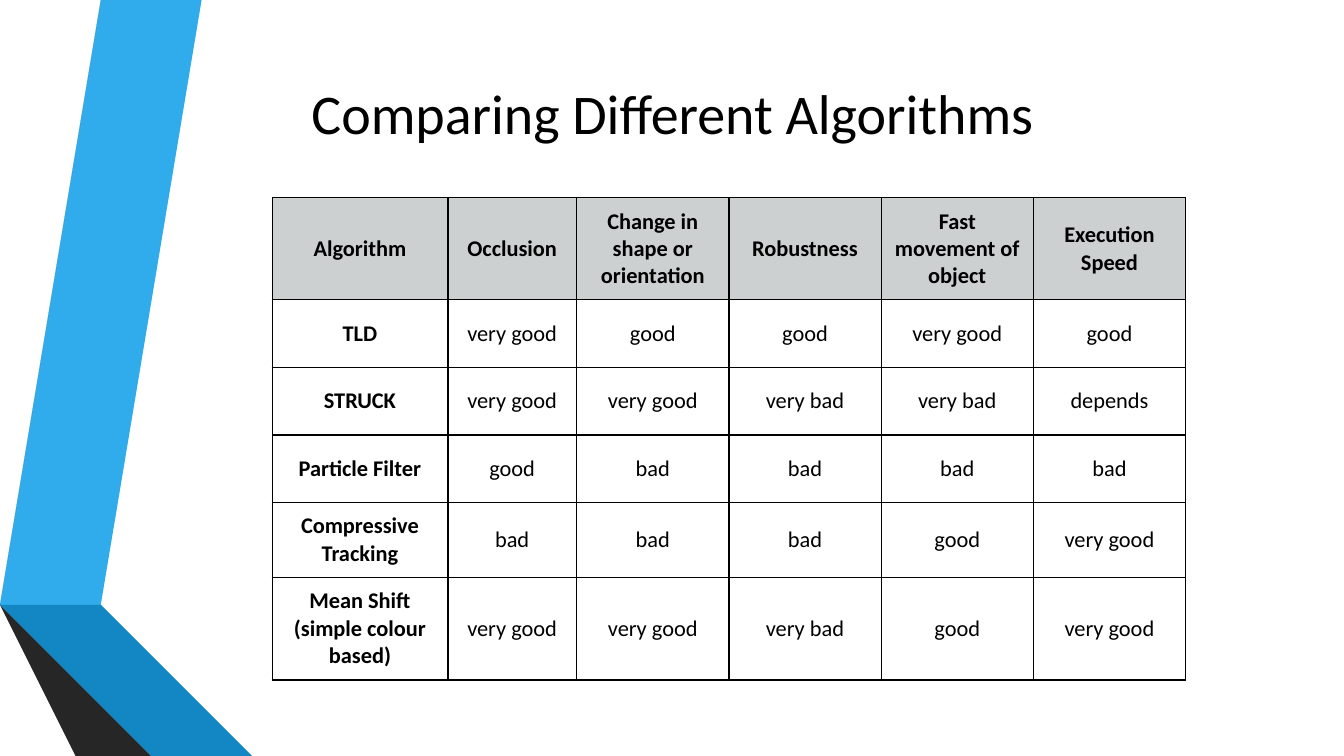
from lxml import etree
from pptx import Presentation
from pptx import util as u
from pptx.dml import color
from pptx.enum import text
from pptx.oxml import ns

FONT = "Calibri"
BLACK = "000000"
HEADER_GREY = "CDD0D1"

RIBBONS = [
    ("30ACEC", [(0.5, 5.78), (0.77, 5.83), (1.73, 0), (1.45, 0)]),
    ("595959", [(1.39, 0), (1.11, 0), (0.16, 5.73), (0.44, 5.77)]),
    ("262626", [(0.16, 5.73), (1.45, 7.5), (1.51, 7.5)]),
    ("0C5A82", [(0.5, 5.79), (2.08, 7.5), (2.14, 7.5)]),
    ("1287C3", [(0.5, 5.79), (2.14, 7.5), (2.83, 7.5), (0.77, 5.83), (0.5, 5.78)]),
    ("404040", [(2.02, 7.5), (0.48, 5.83), (0.43, 5.77), (0.16, 5.73), (1.51, 7.5)]),
]

COLUMN_WIDTHS = [1.74, 1.28] + [1.51] * 4
ROW_HEIGHTS = [0.97, 0.67, 0.67, 0.67, 0.71, 0.96]
RATINGS = [
    ["Algorithm", "Occlusion", "Change in shape or orientation", "Robustness",
     "Fast movement of object", "Execution Speed"],
    ["TLD", "very good", "good", "good", "very good", "good"],
    ["STRUCK", "very good", "very good", "very bad", "very bad", "depends"],
    ["Particle Filter", "good", "bad", "bad", "bad", "bad"],
    ["Compressive Tracking", "bad", "bad", "bad", "good", "very good"],
    ["Mean Shift (simple colour based)", "very good", "very good", "very bad",
     "good", "very good"],
]


def rgb(hex_code):
    """Return the colour for a hex string."""
    return color.RGBColor.from_string(hex_code)


def set_margins(area):
    """Give a text frame or cell equal margins on all sides."""
    area.margin_left = area.margin_right = u.Inches(0.1)
    area.margin_top = area.margin_bottom = u.Inches(0.1)


def write(frame, wording, size, bold=False):
    """Write one centred run in black."""
    paragraph = frame.paragraphs[0]
    paragraph.alignment = text.PP_ALIGN.CENTER
    run = paragraph.add_run()
    run.text = wording
    run.font.name = FONT
    run.font.size = u.Pt(size)
    run.font.bold = bold
    run.font.color.rgb = rgb(BLACK)


def add_ribbon(slide, fill, points):
    """Draw one filled piece of the folded ribbons."""
    builder = slide.shapes.build_freeform(*points[0], scale=u.Inches(1))
    builder.add_line_segments(points[1:], close=True)
    ribbon = builder.convert_to_shape()
    ribbon.shadow.inherit = False
    ribbon.fill.solid()
    ribbon.fill.fore_color.rgb = rgb(fill)
    ribbon.line.fill.background()


def add_title(slide, wording):
    """Place and write the slide title."""
    title = slide.shapes.title
    title.left, title.top = u.Inches(0.67), u.Inches(0.3)
    title.width, title.height = u.Inches(12), u.Inches(1.25)
    frame = title.text_frame
    frame.vertical_anchor = text.MSO_ANCHOR.BOTTOM
    set_margins(frame)
    write(frame, wording, 40)


def set_borders(cell, widths):
    """Draw the cell's black borders, with widths in points by side."""
    properties = cell._tc.get_or_add_tcPr()
    for side, width in widths.items():
        border = etree.SubElement(properties, ns.qn(f"a:ln{side}"), w=str(u.Pt(width)))
        paint = etree.SubElement(border, ns.qn("a:solidFill"))
        etree.SubElement(paint, ns.qn("a:srgbClr"), val=BLACK)


def add_ratings_table(slide):
    """Build the table that rates each algorithm."""
    frame = slide.shapes.add_table(
        len(RATINGS), len(COLUMN_WIDTHS), u.Inches(2.7), u.Inches(1.96),
        u.Inches(sum(COLUMN_WIDTHS)), u.Inches(sum(ROW_HEIGHTS)))
    table = frame.table
    table.horz_banding = False
    for column, width in zip(table.columns, COLUMN_WIDTHS):
        column.width = u.Inches(width)
    for row, height in zip(table.rows, ROW_HEIGHTS):
        row.height = u.Inches(height)
    for r, ratings in enumerate(RATINGS):
        for c, rating in enumerate(ratings):
            cell = table.cell(r, c)
            cell.vertical_anchor = text.MSO_ANCHOR.MIDDLE
            set_margins(cell)
            write(cell.text_frame, rating, 16, bold=r == 0 or c == 0)
            set_borders(cell, {
                "L": 1.5 if c == 1 else 1,
                "R": 1.5 if c == 0 else 1,
                "T": 1,
                "B": 1.5 if r == len(RATINGS) - 1 else 1,
            })
            if r == 0:
                cell.fill.solid()
                cell.fill.fore_color.rgb = rgb(HEADER_GREY)
            else:
                cell.fill.background()


def main():
    """Build and save the slide."""
    deck = Presentation()
    deck.slide_width, deck.slide_height = u.Inches(13.33), u.Inches(7.5)
    slide = deck.slides.add_slide(deck.slide_layouts[5])
    for fill, points in RIBBONS:
        add_ribbon(slide, fill, points)
    add_title(slide, "Comparing Different Algorithms")
    add_ratings_table(slide)
    deck.save("out.pptx")


if __name__ == "__main__":
    main()
